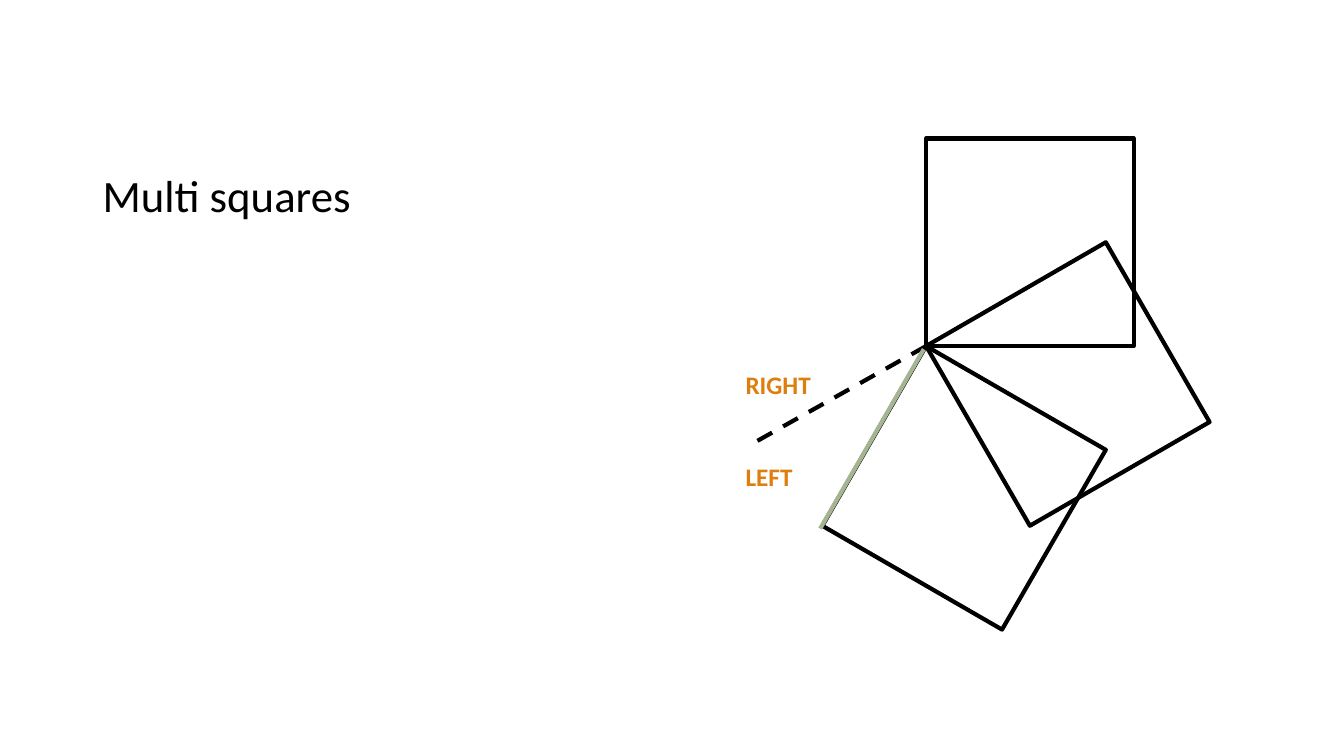
import math

import pptx
import pptx.dml.color
import pptx.enum.dml
import pptx.enum.shapes
import pptx.enum.text
import pptx.oxml.ns
import pptx.util
from lxml import etree

Cm = pptx.util.Cm
Pt = pptx.util.Pt
COLORS = {"ink": "000000", "label": "DD7E0E", "edge": "A5B592"}
FONT = "Calibri"


def rgb(name):
    return pptx.dml.color.RGBColor.from_string(COLORS[name])


def set_font(p, size, color, bold=False):
    p.font.name = FONT
    p.font.size = Pt(size)
    p.font.bold = bold
    p.font.color.rgb = rgb(color)


def add_title(slide, text, left, top, width, height):
    sp = slide.shapes.title
    sp.left, sp.top, sp.width, sp.height = Cm(left), Cm(top), Cm(width), Cm(height)
    tf = sp.text_frame
    tf.text = text
    tf.word_wrap = True
    tf.vertical_anchor = pptx.enum.text.MSO_ANCHOR.BOTTOM
    p = tf.paragraphs[0]
    p.alignment = pptx.enum.text.PP_ALIGN.LEFT
    p.line_spacing = 0.9
    set_font(p, 32, "title" if "title" in COLORS else "ink")


def add_square(slide, x, y, side, turn):
    """Square hinged at (x, y), turned clockwise from upright by turn degrees."""
    angle = math.radians(turn - 45)
    reach = side / math.sqrt(2)
    left = x + reach * math.cos(angle) - side / 2
    top = y + reach * math.sin(angle) - side / 2
    sp = slide.shapes.add_shape(pptx.enum.shapes.MSO_SHAPE.RECTANGLE,
                                Cm(left), Cm(top), Cm(side), Cm(side))
    # A square looks the same after each quarter turn
    sp.rotation = turn % 90 - 90 if turn == 60 else -turn / 2
    sp.shadow.inherit = False
    sp.fill.background()
    sp.line.color.rgb = rgb("ink")
    sp.line.width = Pt(3)


def add_line(slide, x1, y1, x2, y2, color, dashed=False):
    line = slide.shapes.add_connector(pptx.enum.shapes.MSO_CONNECTOR.STRAIGHT,
                                      Cm(x1), Cm(y1), Cm(x2), Cm(y2))
    line.line.color.rgb = rgb(color)
    line.line.width = Pt(3)
    if dashed:
        line.line.dash_style = pptx.enum.dml.MSO_LINE.DASH
    etree.SubElement(line._element.spPr, pptx.oxml.ns.qn("a:effectLst"))


def add_label(slide, text, left, top, width, height=1.03):
    tf = slide.shapes.add_textbox(Cm(left), Cm(top), Cm(width), Cm(height)).text_frame
    tf.text = text
    tf.word_wrap = False
    tf.auto_size = pptx.enum.text.MSO_AUTO_SIZE.SHAPE_TO_FIT_TEXT
    set_font(tf.paragraphs[0], 18, "label", bold=True)


def add_fan(slide, left, top, side):
    """Squares fanned around a shared hinge, with its turning guides."""
    x, y = left + 4.8, top + side
    for turn in (120, 0, 60):
        add_square(slide, x, y, side, turn)
    # Heading line and the starting edge
    add_line(slide, x, y, x - 4.45, y + 2.5, "ink", dashed=True)
    add_line(slide, x - 0.06, y + 0.08, x - 2.67, y + 4.6, "edge")
    # Turn directions
    add_label(slide, "LEFT", left, y + 2.78, 1.7)
    add_label(slide, "RIGHT", left, y + 0.47, 2.18)


def main():
    prs = pptx.Presentation()
    prs.slide_width, prs.slide_height = Cm(33.87), Cm(19.05)
    slide = prs.slides.add_slide(prs.slide_layouts[5])
    add_title(slide, "Multi squares", 2.33, 1.27, 10.92, 4.45)
    add_fan(slide, 18.54, 3.49, 5.23)
    prs.save("out.pptx")


if __name__ == "__main__":
    main()
